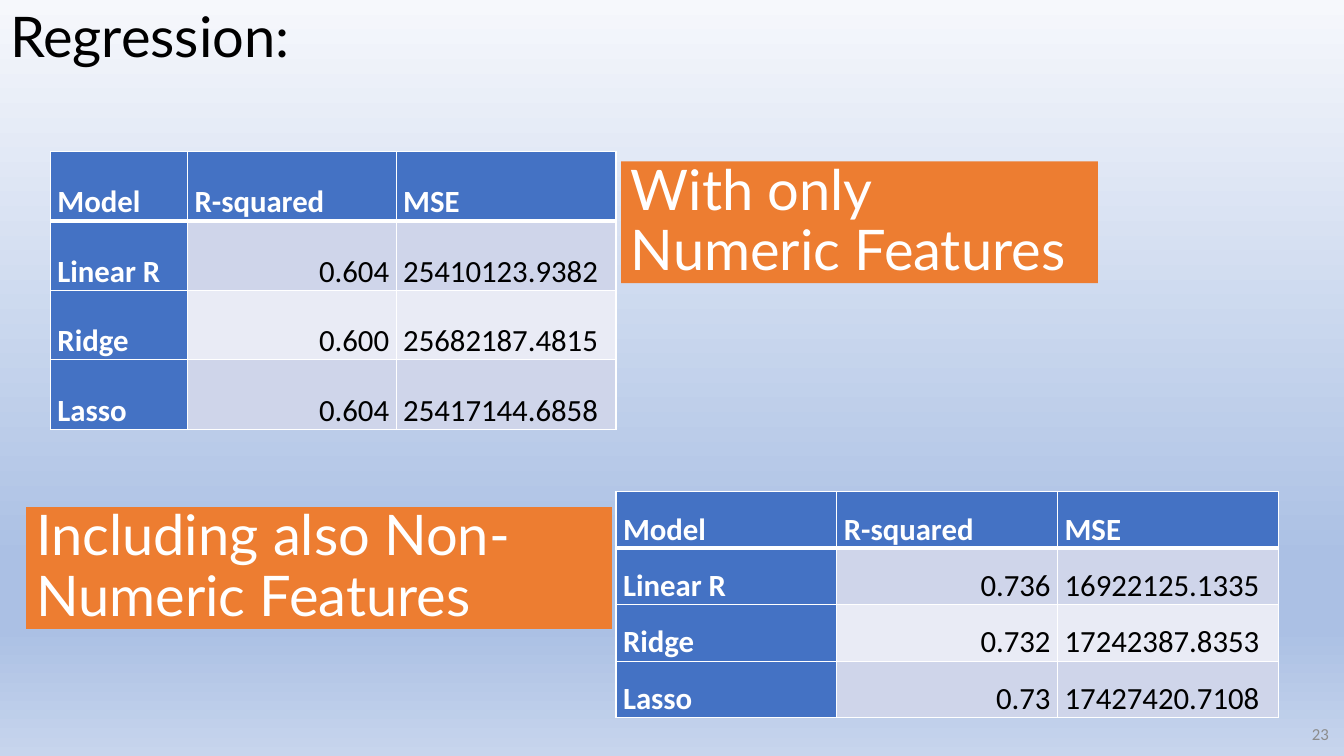
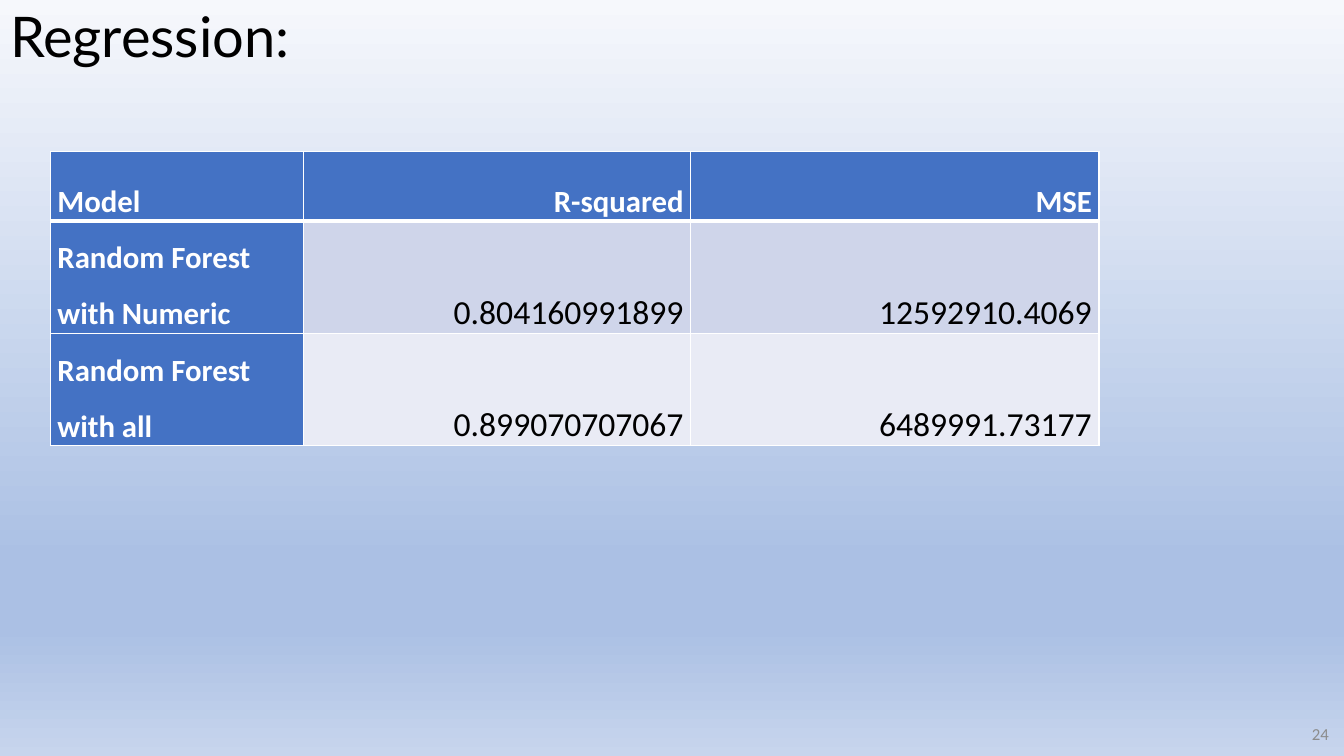
from lxml import etree
from pptx import Presentation
from pptx.dml.color import RGBColor
from pptx.enum.shapes import MSO_SHAPE
from pptx.enum.text import MSO_ANCHOR, MSO_AUTO_SIZE, PP_ALIGN
from pptx.oxml.ns import qn
from pptx.util import Inches, Pt

# Shared look
BLACK = RGBColor(0x00, 0x00, 0x00)
WHITE = RGBColor(0xFF, 0xFF, 0xFF)
GRAY = RGBColor(0x8C, 0x8C, 0x8C)
BLUE = RGBColor(0x44, 0x72, 0xC4)
ORANGE = RGBColor(0xED, 0x7D, 0x31)
BANDS = (RGBColor(0xCF, 0xD5, 0xEA), RGBColor(0xE9, 0xEB, 0xF5))
SKY = ((0, RGBColor(0xF6, 0xF8, 0xFC)), (74, RGBColor(0xAB, 0xC0, 0xE4)),
       (83, RGBColor(0xAB, 0xC0, 0xE4)), (100, RGBColor(0xC7, 0xD5, 0xED)))
ALIGN = {"L": PP_ALIGN.LEFT, "R": PP_ALIGN.RIGHT}

TITLE_FONT = dict(name="Lato", size=Pt(40), color=BLACK)
LABEL_FONT = dict(name="Lato", size=Pt(40), color=WHITE)
NUMBER_FONT = dict(name="Calibri", size=Pt(12), color=GRAY)
HEAD_FONT = dict(name="Calibri", size=Pt(22), color=WHITE, bold=True)

# Content: box is left, top, width, height; aligns has one letter per column
HEADER = ("Model", "R-squared", "MSE")
SLIDES = [
    dict(
        title="Regression:", number="23",
        tables=[
            dict(at=(0.5, 1.5), cols=(1.36, 2.07, 2.18), heights=(0.69,) * 4,
                 head_aligns="LLL", aligns="LRL", size=22,
                 rows=[("Linear R", "0.604", "25410123.9382"),
                       ("Ridge", "0.600", "25682187.4815"),
                       ("Lasso", "0.604", "25417144.6858")]),
            dict(at=(6.11, 4.88), cols=(2.19,) * 3, heights=(0.56,) * 4,
                 head_aligns="LLL", aligns="LRL", size=22,
                 rows=[("Linear R", "0.736", "16922125.1335"),
                       ("Ridge", "0.732", "17242387.8353"),
                       ("Lasso", "0.73", "17427420.7108")]),
        ],
        labels=[("With only Numeric Features", (6.16, 1.6, 4.73, 1.21)),
                ("Including also Non-Numeric Features", (0.26, 5.03, 5.81, 1.21))],
    ),
    dict(
        title="Regression:", number="24",
        tables=[
            dict(at=(0.5, 1.5), cols=(2.51, 3.84, 4.05), heights=(0.69, 1.11, 1.11),
                 head_aligns="LRR", aligns="LRR", size=24,
                 rows=[("Random Forest with Numeric", "0.804160991899", "12592910.4069"),
                       ("Random Forest with all", "0.899070707067", "6489991.73177")]),
        ],
        labels=[],
    ),
]


def write(tf, text, font, align="L", spacing=1.0):
    p = tf.paragraphs[0]
    p.alignment, p.line_spacing = ALIGN[align], spacing
    r = p.add_run()
    r.text = text
    for key, value in font.items():
        if key == "color":
            r.font.color.rgb = value
        else:
            setattr(r.font, key, value)


def prepare(tf):
    tf.word_wrap = True
    tf.auto_size = MSO_AUTO_SIZE.NONE
    tf.vertical_anchor = MSO_ANCHOR.MIDDLE


def set_background(master):
    fill = master.background.fill
    fill.gradient()
    fill.gradient_angle = 270
    stops = master.element.find(".//" + qn("p:bg")).find(".//" + qn("a:gsLst"))
    for stop in list(stops):
        stops.remove(stop)
    for percent, color in SKY:
        stop = etree.SubElement(stops, qn("a:gs"), pos=str(percent * 1000))
        etree.SubElement(stop, qn("a:srgbClr"), val=str(color))


def set_borders(cell, widths):
    tc_pr = cell._tc.get_or_add_tcPr()
    for side, width in widths.items():
        line = etree.SubElement(tc_pr, qn("a:ln" + side), w=str(Pt(width)))
        solid = etree.SubElement(line, qn("a:solidFill"))
        etree.SubElement(solid, qn("a:srgbClr"), val=str(WHITE))


def add_title(s, text):
    sp = s.shapes.title
    sp.left, sp.top, sp.width, sp.height = map(Inches, (0, 0.06, 6.6, 0.66))
    prepare(sp.text_frame)
    write(sp.text_frame, text, TITLE_FONT, spacing=0.9)


def add_number(s, text):
    sp = s.shapes.add_textbox(*map(Inches, (10.28, 7.08, 3, 0.4)))
    prepare(sp.text_frame)
    write(sp.text_frame, text, NUMBER_FONT, "R")


def add_label(s, text, box):
    sp = s.shapes.add_shape(MSO_SHAPE.RECTANGLE, *map(Inches, box))
    sp.shadow.inherit = False
    sp.fill.solid()
    sp.fill.fore_color.rgb = ORANGE
    sp.line.fill.background()
    prepare(sp.text_frame)
    write(sp.text_frame, text, LABEL_FONT, spacing=0.9)


def add_model_table(s, at, cols, heights, head_aligns, aligns, size, rows):
    box = (*at, sum(cols), sum(heights))
    table = s.shapes.add_table(len(heights), len(cols), *map(Inches, box)).table
    for col, width in zip(table.columns, cols):
        col.width = Inches(width)
    for row, height in zip(table.rows, heights):
        row.height = Inches(height)
    value_font = dict(HEAD_FONT, size=Pt(size), color=BLACK, bold=False)
    for i, texts in enumerate([HEADER, *rows]):
        for j, text in enumerate(texts):
            cell = table.cell(i, j)
            is_head = i == 0 or j == 0
            # A thick rule separates the header from the body
            set_borders(cell, {"L": 1, "R": 1, "T": 3 if i == 1 else 1,
                               "B": 3 if i == 0 else 1})
            cell.fill.solid()
            cell.fill.fore_color.rgb = BLUE if is_head else BANDS[(i - 1) % 2]
            cell.vertical_anchor = MSO_ANCHOR.BOTTOM
            cell.margin_left = cell.margin_right = Inches(0.07)
            cell.margin_top = cell.margin_bottom = 0
            write(cell.text_frame, text, HEAD_FONT if is_head else value_font,
                  (aligns if i else head_aligns)[j], 1.5)


def main():
    prs = Presentation()
    prs.slide_width, prs.slide_height = Inches(13.33), Inches(7.5)
    set_background(prs.slide_master)
    for content in SLIDES:
        s = prs.slides.add_slide(prs.slide_layouts[5])
        add_title(s, content["title"])
        add_number(s, content["number"])
        for table in content["tables"]:
            add_model_table(s, **table)
        for text, box in content["labels"]:
            add_label(s, text, box)
    prs.save("out.pptx")


if __name__ == "__main__":
    main()
